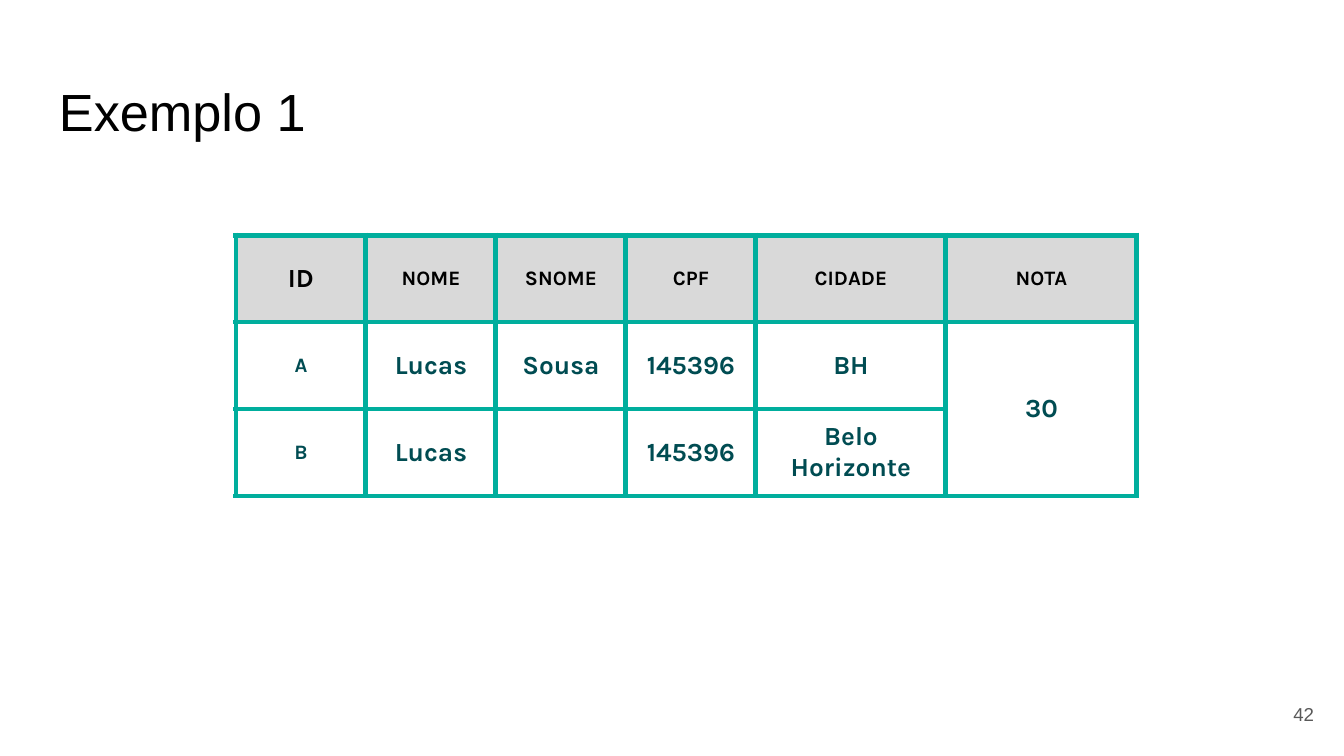
"""Build the "Exemplo 1" slide: a title, a bordered record table and a page number."""
from typing import NamedTuple

from lxml import etree
from pptx import Presentation
from pptx.dml.color import RGBColor
from pptx.enum.text import MSO_ANCHOR, PP_ALIGN
from pptx.oxml.ns import qn
from pptx.util import Emu, Pt

EMU_PER_PX = 6804
TOP, MIDDLE = MSO_ANCHOR.TOP, MSO_ANCHOR.MIDDLE
LEFT, CENTER, RIGHT = PP_ALIGN.LEFT, PP_ALIGN.CENTER, PP_ALIGN.RIGHT

BLACK = RGBColor(0x00, 0x00, 0x00)
GRAY = RGBColor(0x59, 0x59, 0x59)
HEADER_FILL = RGBColor(0xD9, 0xD9, 0xD9)
TEAL = RGBColor(0x00, 0xAE, 0x9D)
DARK_TEAL = RGBColor(0x00, 0x4C, 0x52)


class Box(NamedTuple):
    left: int
    top: int
    width: int
    height: int


class Style(NamedTuple):
    font: str
    size: int
    color: RGBColor
    bold: bool = False
    align: PP_ALIGN = LEFT


class Entry(NamedTuple):
    text: str
    size: int = 14


SLIDE_W, SLIDE_H = 1344, 756
TITLE_BOX = Box(46, 66, 1253, 85)
NUMBER_BOX = Box(1246, 685, 81, 58)
TABLE_LEFT, TABLE_TOP = 236, 235
COLUMNS = [130, 130, 130, 130, 190, 191]
ROW_HEIGHT = 87
INSET, CELL_INSET_Y = 13, 9
BORDER_PT = 3

TITLE_STYLE = Style("Arial", 28, BLACK)
NUMBER_STYLE = Style("Arial", 10, GRAY, align=RIGHT)
ROWS = [
    [Entry("ID"), Entry("NOME", 11), Entry("SNOME", 11), Entry("CPF", 11),
     Entry("CIDADE", 11), Entry("NOTA", 11)],
    [Entry("A", 11), Entry("Lucas"), Entry("Sousa"), Entry("145396"),
     Entry("BH"), Entry("30")],
    [Entry("B", 11), Entry("Lucas"), Entry(""), Entry("145396"),
     Entry("Belo Horizonte"), Entry("")],
]


def px(n: int) -> Emu:
    return Emu(n * EMU_PER_PX)


def write(tf, text: str, style: Style) -> None:
    p = tf.paragraphs[0]
    p.alignment = style.align
    r = p.add_run()
    r.text = text
    r.font.name = style.font
    r.font.size = Pt(style.size)
    r.font.bold = style.bold
    r.font.color.rgb = style.color


def fill_text_box(sp, box: Box, anchor: MSO_ANCHOR, text: str, style: Style) -> None:
    sp.left, sp.top, sp.width, sp.height = map(px, box)
    tf = sp.text_frame
    tf.word_wrap = True
    tf.vertical_anchor = anchor
    tf.margin_left = tf.margin_right = tf.margin_top = tf.margin_bottom = px(INSET)
    write(tf, text, style)


def add_borders(cell) -> None:
    tc_pr = cell._tc.get_or_add_tcPr()
    for side in ("lnL", "lnR", "lnT", "lnB"):
        ln = etree.SubElement(tc_pr, qn(f"a:{side}"), w=str(Pt(BORDER_PT)))
        fill = etree.SubElement(ln, qn("a:solidFill"))
        etree.SubElement(fill, qn("a:srgbClr"), val=str(TEAL))


def format_cell(cell, entry: Entry, is_header: bool) -> None:
    add_borders(cell)
    if is_header:
        cell.fill.solid()
        cell.fill.fore_color.rgb = HEADER_FILL
    else:
        cell.fill.background()
    cell.vertical_anchor = MIDDLE
    cell.margin_left = cell.margin_right = px(INSET)
    cell.margin_top = cell.margin_bottom = px(CELL_INSET_Y)
    if entry.text:
        color = BLACK if is_header else DARK_TEAL
        write(cell.text_frame, entry.text, Style("Karla", entry.size, color, True, CENTER))


def add_records(s) -> None:
    table = s.shapes.add_table(
        len(ROWS), len(COLUMNS), px(TABLE_LEFT), px(TABLE_TOP),
        px(sum(COLUMNS)), px(ROW_HEIGHT * len(ROWS))).table
    table.first_row = table.horz_banding = False
    for column, width in zip(table.columns, COLUMNS):
        column.width = px(width)
    for i, entries in enumerate(ROWS):
        table.rows[i].height = px(ROW_HEIGHT)
        for j, entry in enumerate(entries):
            format_cell(table.cell(i, j), entry, i == 0)
    grade = len(COLUMNS) - 1
    table.cell(1, grade).merge(table.cell(2, grade))


def main() -> None:
    prs = Presentation()
    prs.slide_width, prs.slide_height = px(SLIDE_W), px(SLIDE_H)
    s = prs.slides.add_slide(prs.slide_layouts[5])
    fill_text_box(s.shapes.title, TITLE_BOX, TOP, "Exemplo 1", TITLE_STYLE)
    add_records(s)
    number = s.shapes.add_textbox(*map(px, NUMBER_BOX))
    fill_text_box(number, NUMBER_BOX, MIDDLE, "42", NUMBER_STYLE)
    prs.save("out.pptx")


if __name__ == "__main__":
    main()
